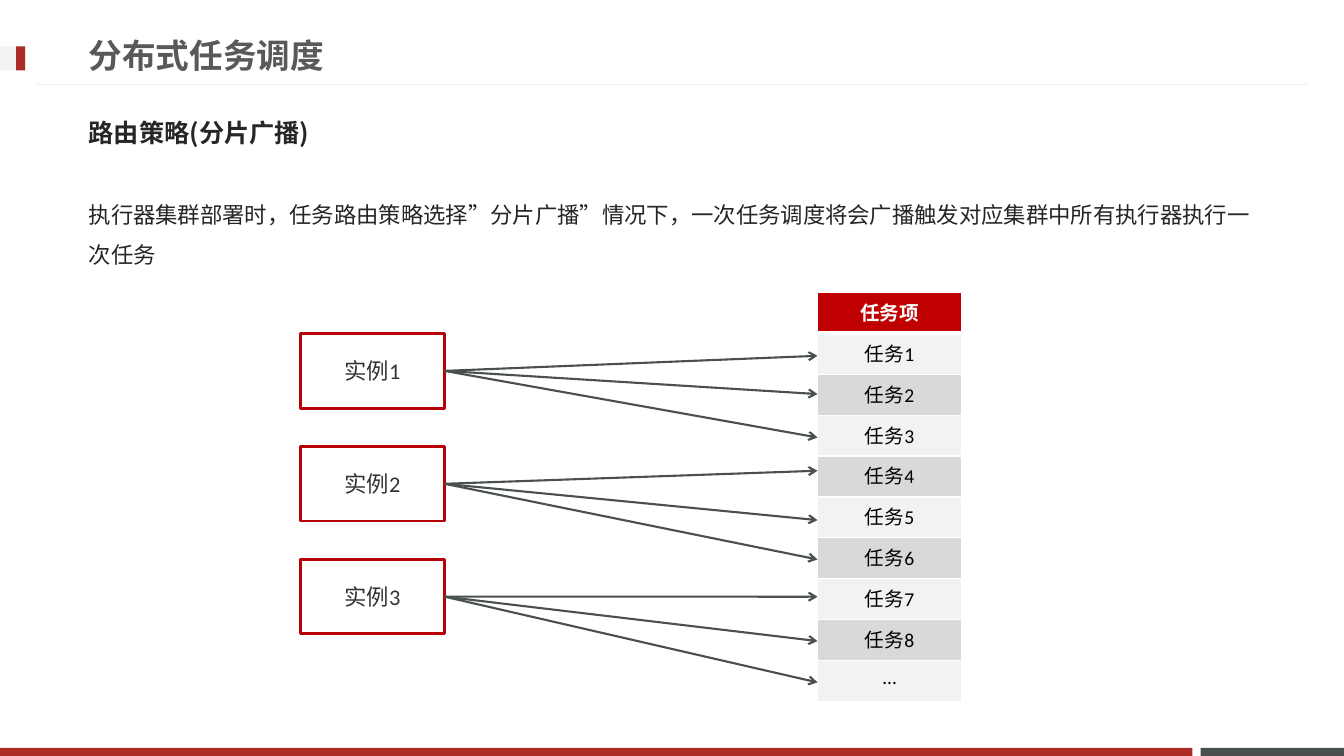
from dataclasses import dataclass

from lxml import etree
from pptx import Presentation
from pptx.dml.color import RGBColor
from pptx.enum.shapes import MSO_CONNECTOR, MSO_SHAPE
from pptx.enum.text import MSO_ANCHOR, MSO_AUTO_SIZE, PP_ALIGN
from pptx.oxml.ns import qn
from pptx.util import Inches, Pt

RECTANGLE = MSO_SHAPE.RECTANGLE
STRAIGHT = MSO_CONNECTOR.STRAIGHT
CENTER = PP_ALIGN.CENTER
TOP, MIDDLE = MSO_ANCHOR.TOP, MSO_ANCHOR.MIDDLE
FIT_TEXT = MSO_AUTO_SIZE.TEXT_TO_FIT_SHAPE
RIGHT_SIDE = 3
COMPARISON_LAYOUT = 4
SLIDE_WIDTH, SLIDE_HEIGHT = Inches(13.33), Inches(7.5)


@dataclass(frozen=True)
class Theme:
    red: str = "AD2B26"
    slate: str = "49504F"
    pale: str = "F2F2F2"
    band: str = "D9D9D9"
    header: str = "C00000"
    outline: str = "B60206"
    title: str = "595959"
    body: str = "262626"
    label: str = "333333"
    black: str = "000000"
    white: str = "FFFFFF"
    title_size: int = 24
    subtitle_size: int = 18
    body_size: int = 16
    table_size: int = 14
    title_font: str = "Lato"
    body_font: str = "Noto Sans CJK JP"
    label_font: str = "Calibri"


THEME = Theme()

# Lengths are percentages of the slide's width and height.
TEXT_LEFT = 5.85
INSTANCE_LEFT, INSTANCE_TOP, INSTANCE_STEP = 22.35, 44.13, 14.93
INSTANCE_WIDTH, INSTANCE_HEIGHT = 10.73, 9.87
TABLE_LEFT, TABLE_TOP, TABLE_WIDTH, TABLE_HEIGHT = 60.83, 38.67, 10.73, 54.13
ARROW_ENDS = {
    "实例1": (47.07, 52.13, 57.87),
    "实例2": (62.27, 68.8, 74),
    "实例3": (78.93, 84.8, 90.27),
}
TASKS = ["任务项", *(f"任务{number}" for number in range(1, 9)), "…"]


def across(percent):
    return round(SLIDE_WIDTH * percent / 100)


def down(percent):
    return round(SLIDE_HEIGHT * percent / 100)


def area(left, top, width, height):
    return across(left), down(top), across(width), down(height)


def color(value):
    return RGBColor.from_string(value)


def write(text_frame, text, size, font_name, text_color, bold=False):
    paragraph = text_frame.paragraphs[0]
    run = paragraph.add_run()
    run.text = text
    font = run.font
    font.size, font.name, font.bold = Pt(size), font_name, bold
    font.color.rgb = color(text_color)
    east_asian = etree.Element(qn("a:ea"), typeface=THEME.body_font)
    run._r.get_or_add_rPr().find(qn("a:latin")).addnext(east_asian)
    return paragraph


def fill_placeholder(placeholder, place, anchor, *text_style):
    placeholder.left, placeholder.top, placeholder.width, placeholder.height = place
    frame = placeholder.text_frame
    frame.word_wrap, frame.vertical_anchor = True, anchor
    frame.auto_size = FIT_TEXT
    paragraph = write(frame, *text_style)
    paragraph.alignment = PP_ALIGN.LEFT
    return paragraph


def add_bar(slide, place, fill_color):
    bar = slide.shapes.add_shape(RECTANGLE, *place)
    bar.shadow.inherit = False
    bar.fill.solid()
    bar.fill.fore_color.rgb = color(fill_color)
    bar.line.fill.background()


def add_line(slide, start, end, line_color, width):
    line = slide.shapes.add_connector(STRAIGHT, *start, *end)
    line.line.color.rgb = color(line_color)
    line.line.width = Pt(width)
    etree.SubElement(line._element.spPr, qn("a:effectLst"))
    return line


def add_frame(slide):
    """Draw the header rule, header marker and footer bars."""
    add_bar(slide, area(89.33, 98.93, 10.67, 1.07), THEME.slate)
    add_bar(slide, area(0, 98.93, 88.73, 1.07), THEME.red)
    rule_top = down(11.2)
    add_line(slide, (across(97.35), rule_top), (across(2.65), rule_top), THEME.pale, 0.75)
    add_bar(slide, area(0, 6.13, 1.88, 3.2), THEME.pale)
    add_bar(slide, area(1.2, 6.13, 0.68, 3.2), THEME.red)


def add_texts(slide):
    title, subtitle, left_content, body, right_content = slide.placeholders
    for unused in (left_content, right_content):
        unused._element.getparent().remove(unused._element)
    fill_placeholder(title, area(TEXT_LEFT, 3.47, 71.93, 7.6), MIDDLE, "分布式任务调度",
                     THEME.title_size, THEME.title_font, THEME.title, True)
    fill_placeholder(subtitle, area(TEXT_LEFT, 13.73, 87.75, 7.6), MIDDLE, "路由策略(分片广播)",
                     THEME.subtitle_size, THEME.body_font, THEME.body, True)
    paragraph = fill_placeholder(
        body, area(TEXT_LEFT, 24.13, 89.4, 14.53), TOP,
        "执行器集群部署时，任务路由策略选择”分片广播”情况下，"
        "一次任务调度将会广播触发对应集群中所有执行器执行一次任务",
        THEME.body_size, THEME.body_font, THEME.body)
    paragraph.line_spacing = 1.5


def add_instance(slide, name, top):
    place = area(INSTANCE_LEFT, top, INSTANCE_WIDTH, INSTANCE_HEIGHT)
    instance = slide.shapes.add_shape(RECTANGLE, *place)
    instance.shadow.inherit = False
    instance.fill.background()
    instance.line.color.rgb = color(THEME.outline)
    instance.line.width = Pt(2)
    instance.text_frame.vertical_anchor = MIDDLE
    paragraph = write(instance.text_frame, name, THEME.body_size, THEME.label_font, THEME.label)
    paragraph.alignment = CENTER
    return instance


def add_arrow(slide, instance, end_top):
    start = instance.left + instance.width, instance.top + instance.height // 2
    arrow = add_line(slide, start, (across(TABLE_LEFT), down(end_top)), THEME.slate, 1.5)
    arrow.begin_connect(instance, RIGHT_SIDE)
    etree.SubElement(arrow.line._get_or_add_ln(), qn("a:tailEnd"), type="arrow")


def set_borders(cell, bottom_width):
    properties = cell._tc.get_or_add_tcPr()
    for side, width in (("L", 1), ("R", 1), ("T", 1), ("B", bottom_width)):
        border = etree.SubElement(properties, qn(f"a:ln{side}"), w=str(Pt(width)))
        solid = etree.SubElement(border, qn("a:solidFill"))
        etree.SubElement(solid, qn("a:srgbClr"), val=THEME.white)


def add_task_table(slide):
    place = area(TABLE_LEFT, TABLE_TOP, TABLE_WIDTH, TABLE_HEIGHT)
    table = slide.shapes.add_table(len(TASKS), 1, *place).table
    for index, task in enumerate(TASKS):
        is_header = index == 0
        cell = table.cell(index, 0)
        set_borders(cell, 3 if is_header else 1)
        cell.fill.solid()
        row_color = THEME.pale if index % 2 else THEME.band
        cell.fill.fore_color.rgb = color(THEME.header if is_header else row_color)
        text_color = THEME.white if is_header else THEME.black
        paragraph = write(cell.text_frame, task, THEME.table_size, THEME.label_font,
                          text_color, is_header)
        paragraph.alignment = CENTER


def main():
    presentation = Presentation()
    presentation.slide_width, presentation.slide_height = SLIDE_WIDTH, SLIDE_HEIGHT
    slide = presentation.slides.add_slide(presentation.slide_layouts[COMPARISON_LAYOUT])
    add_frame(slide)
    add_texts(slide)
    add_task_table(slide)
    for index, (name, arrow_ends) in enumerate(ARROW_ENDS.items()):
        instance = add_instance(slide, name, INSTANCE_TOP + index * INSTANCE_STEP)
        for end_top in arrow_ends:
            add_arrow(slide, instance, end_top)
    presentation.save("out.pptx")


if __name__ == "__main__":
    main()
